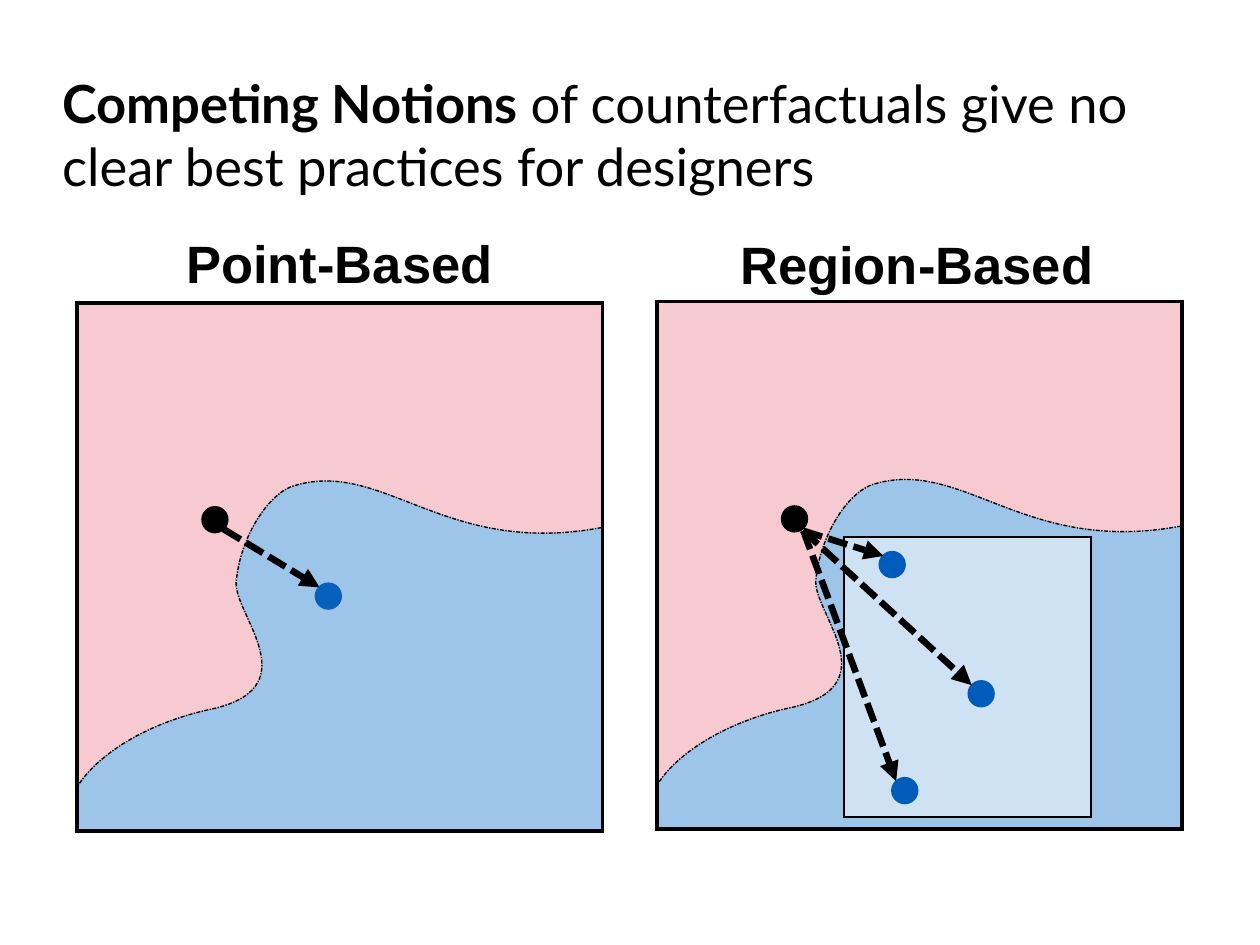
import pptx
import pptx.dml.color
import pptx.enum.dml
import pptx.enum.shapes
import pptx.enum.text
import pptx.oxml.ns
import pptx.util
from dataclasses import dataclass

PX = 4572
KIND = pptx.enum.shapes.MSO_SHAPE
DASH = pptx.enum.dml.MSO_LINE
ALIGN = pptx.enum.text.PP_ALIGN


@dataclass
class Theme:
    ink: str = "000000"
    pink: str = "F7C9D0"
    sky: str = "9DC5E9"
    veil: str = "FFFFFF"
    dot: str = "0860BD"
    deep: str = "005BBB"
    head: str = "Lato"
    label: str = "Arial"
    size: int = 24
    hair: float = 0.62
    thin: float = 1
    edge: float = 1.66
    arrow: float = 3


def tint(code):
    return pptx.dml.color.RGBColor.from_string(code)


def write(para, text, font, size, color, bold=False):
    run = para.add_run()
    run.text = text
    run.font.name = font
    run.font.size = pptx.util.Pt(size)
    run.font.bold = bold
    run.font.color.rgb = tint(color)


def node(owner, tag, **values):
    item = owner.makeelement(pptx.oxml.ns.qn(tag), values)
    owner.append(item)
    return item


class Deck:
    def __init__(self, wide, high):
        self.theme = Theme()
        self.file = pptx.Presentation()
        self.file.slide_width = wide * PX
        self.file.slide_height = high * PX
        self.slide = self.file.slides.add_slide(self.file.slide_layouts[5])
        self.shapes = self.slide.shapes

    def paint(self, shape, fill=None, line=None, width=1):
        shape.shadow.inherit = False
        if fill:
            shape.fill.solid()
            shape.fill.fore_color.rgb = tint(fill)
        else:
            shape.fill.background()
        if line:
            self.stroke(shape.line, line, width)
            node(shape.line._get_or_add_ln(), "a:miter", lim="800000")
        else:
            shape.line.fill.background()

    def stroke(self, line, color, width):
        line.color.rgb = tint(color)
        line.width = pptx.util.Pt(width)

    def frame(self, shape, align):
        frame = shape.text_frame
        frame.word_wrap = True
        frame.auto_size = pptx.enum.text.MSO_AUTO_SIZE.SHAPE_TO_FIT_TEXT
        frame.vertical_anchor = pptx.enum.text.MSO_ANCHOR.TOP
        frame.paragraphs[0].alignment = align
        return frame.paragraphs[0]

    def title(self, x, y, w, h, strong, rest):
        shape = self.shapes.title
        shape.left, shape.top, shape.width, shape.height = (n * PX for n in (x, y, w, h))
        para = self.frame(shape, ALIGN.LEFT)
        look = self.theme
        write(para, strong, look.head, look.size, look.ink, bold=True)
        write(para, rest, look.head, look.size, look.ink)

    def label(self, x, y, w, h, text):
        shape = self.shapes.add_textbox(x * PX, y * PX, w * PX, h * PX)
        look = self.theme
        write(self.frame(shape, ALIGN.CENTER), text, look.label, look.size, look.ink, bold=True)

    def shape(self, kind, x, y, w, h, **style):
        shape = self.shapes.add_shape(kind, x * PX, y * PX, w * PX, h * PX)
        self.paint(shape, **style)
        return shape

    def dot(self, x, y, color):
        self.shape(KIND.OVAL, x, y, 32, 32, fill=color, line=color, width=self.theme.thin)

    def veil(self, x, y, w, h):
        look = self.theme
        shape = self.shape(KIND.RECTANGLE, x, y, w, h, fill=look.veil, line=look.ink, width=look.thin)
        color = shape._element.spPr.find(pptx.oxml.ns.qn("a:solidFill"))[0]
        node(color, "a:alpha", val="50000")

    def wave(self, curve, base, top, **style):
        spots = [(x * PX, y * PX) for x, y in curve + base]
        box = [(x, max(y, top * PX)) for x, y in spots]
        form = self.shapes.build_freeform(*box[0], scale=1.0)
        form.add_line_segments(box[1:], close=bool(base))
        shape = form.convert_to_shape()
        name = pptx.oxml.ns.qn
        lines = list(shape._element.iter(name("a:lnTo")))
        for i in range(0, len(curve) - 1, 3):
            bend = lines[i].makeelement(name("a:cubicBezTo"), {})
            lines[i].addprevious(bend)
            for line, (x, y) in zip(lines[i:i + 3], spots[i + 1:i + 4]):
                node(bend, "a:pt", x=str(x - shape.left), y=str(y - shape.top))
                line.getparent().remove(line)
        self.paint(shape, **style)
        return shape

    def arrow(self, x, y, right, low):
        link = self.shapes.add_connector(
            pptx.enum.shapes.MSO_CONNECTOR.STRAIGHT, x * PX, y * PX, right * PX, low * PX)
        self.stroke(link.line, self.theme.ink, self.theme.arrow)
        link.line.dash_style = DASH.SQUARE_DOT
        node(link.line._get_or_add_ln(), "a:tailEnd", type="triangle")
        node(link._element.spPr, "a:effectLst")

    def panel(self, x, y):
        look = self.theme
        w, h = 667, 670
        curve = [
            (666, 285),
            (464, 323), (388, 195), (272, 233),
            (238, 247), (206, 303), (202, 355),
            (200, 397), (298, 491), (164, 517),
            (78, 537), (22, 579), (1, 613),
        ]
        curve = [(x + a, y + b) for a, b in curve]
        base = [(x, y + 619), (x, y + h), (x + w, y + h), (x + w, y + 285)]
        top = y + 225
        self.shape(KIND.RECTANGLE, x, y, w, h, fill=look.pink)
        self.wave(curve, base, top, fill=look.sky)
        edge = self.wave(curve, [], top, line=look.ink, width=look.hair)
        edge.line.dash_style = DASH.DASH_DOT
        dash = edge.line._get_or_add_ln().find(pptx.oxml.ns.qn("a:prstDash"))
        dash.set("val", "sysDashDot")
        self.shape(KIND.RECTANGLE, x, y, w, h, line=look.ink, width=look.edge)


def main():
    deck = Deck(1600, 1200)
    look = deck.theme
    deck.title(59, 80, 1480, 182, "Competing Notions ",
               "of counterfactuals give no clear best practices for designers")

    deck.panel(98, 385)
    deck.dot(257, 644, look.ink)
    deck.arrow(284, 672, 406, 746)
    deck.dot(401, 741, look.dot)
    deck.label(99, 284, 664, 100, "Point-Based")

    deck.panel(834, 383)
    deck.veil(1072, 682, 313, 356)
    deck.dot(993, 643, look.ink)
    for x, y in [(1117, 701), (1230, 865), (1133, 988)]:
        deck.dot(x, y, look.deep)
    for x, y in [(1122, 706), (1234, 870), (1138, 992)]:
        deck.arrow(1020, 674, x, y)
    deck.label(832, 285, 664, 100, "Region-Based")

    deck.file.save("out.pptx")


if __name__ == "__main__":
    main()
